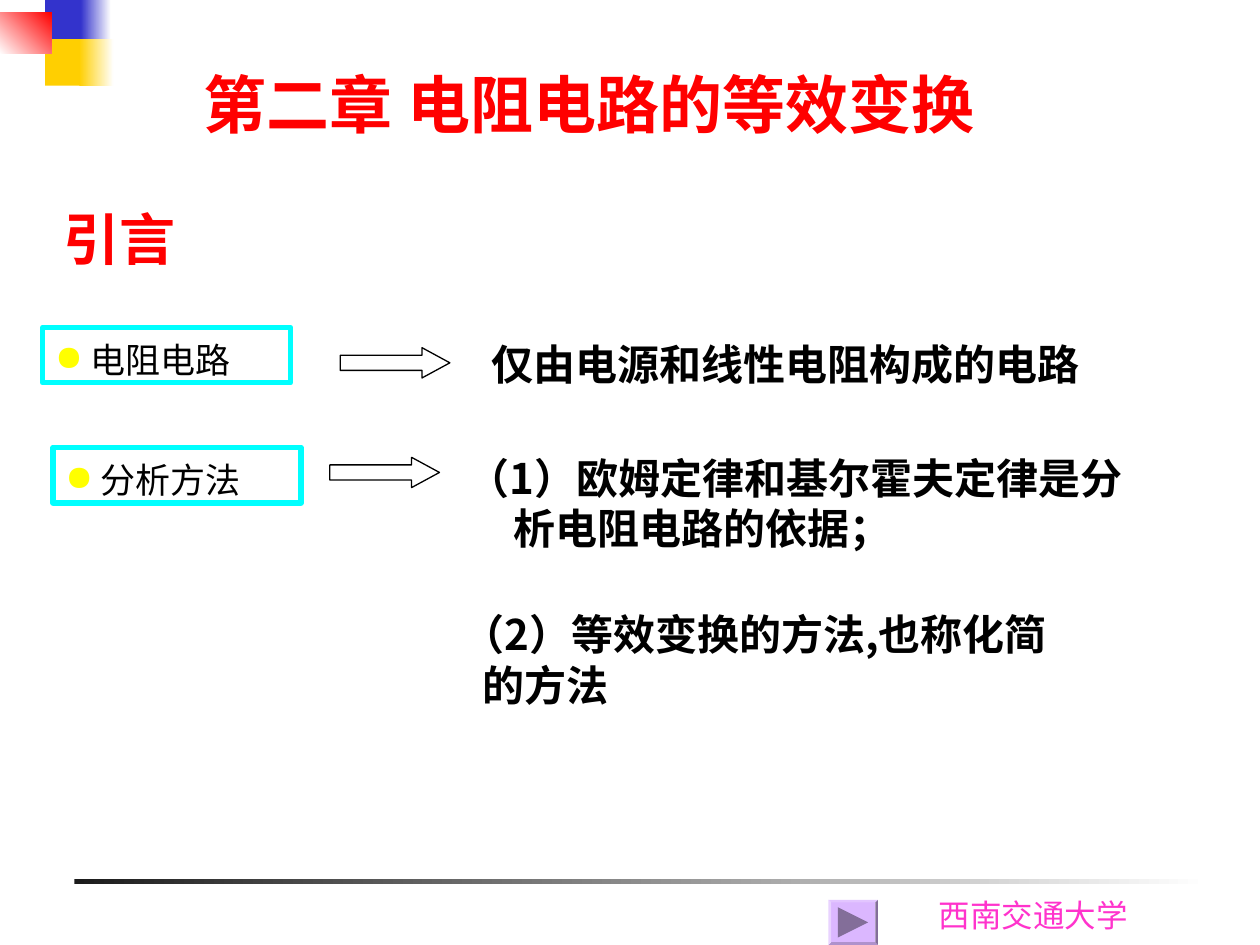
from pptx import Presentation
from pptx.dml.color import RGBColor
from pptx.enum.shapes import MSO_SHAPE
from pptx.enum.text import MSO_ANCHOR, PP_ALIGN
from pptx.oxml import parse_xml
from pptx.oxml.ns import nsdecls
from pptx.util import Cm, Pt

THEME = {
    "white": "FFFFFF", "black": "000000", "dark": "1C1C1C", "red": "FF0000",
    "blue": "3333CC", "gold": "FFCF01", "pink": "FF33CC", "cyan": "00FFFF",
    "yellow": "FFFF00", "lilac": "DBB7FF", "plum": "836E99",
    "han": "Noto Sans CJK SC", "serif": "Times New Roman", "sans": "Cabin",
    "title": 36, "head": 32, "body": 24, "label": 20, "foot": 18,
}


def draw(kind, place, fill=None, line=None, width=0.75, angle=0):
    """Add a preset shape; a pair of colours gives a gradient."""
    shape = slide.shapes.add_shape(kind, *map(Cm, place))
    shape.shadow.inherit = False
    if isinstance(fill, tuple):
        shape.fill.gradient()
        shape.fill.gradient_angle = angle
        for stop, name in zip(shape.fill.gradient_stops, fill):
            stop.color.rgb = RGBColor.from_string(THEME[name])
    elif fill:
        shape.fill.solid()
        shape.fill.fore_color.rgb = RGBColor.from_string(THEME[fill])
    else:
        shape.fill.background()
    if line:
        shape.line.color.rgb = RGBColor.from_string(THEME[line])
        shape.line.width = Pt(width)
    else:
        shape.line.fill.background()
    return shape


def write(shape, lines, size, color, face="han", bold=False, align=PP_ALIGN.JUSTIFY,
          anchor=MSO_ANCHOR.TOP, dot=None):
    """Fill a shape with (text, indent in cm) lines."""
    frame = shape.text_frame
    form = {"word_wrap": True, "vertical_anchor": anchor, "margin_left": Cm(0.25),
            "margin_right": Cm(0.25), "margin_top": Cm(0.23), "margin_bottom": Cm(0.13)}
    for key, value in form.items():
        setattr(frame, key, value)
    for i, (text, indent) in enumerate(lines):
        para = frame.add_paragraph() if i else frame.paragraphs[0]
        run = para.add_run()
        run.text = text
        props = para._p.get_or_add_pPr()
        props.set("marL", str(Cm(indent)))
        if dot:
            props.set("indent", str(-Cm(indent)))
            props.append(parse_xml(f'<a:buClr {nsdecls("a")}><a:srgbClr val="{THEME[dot]}"/></a:buClr>'))
            props.append(parse_xml(f'<a:buChar {nsdecls("a")} char="●"/>'))
        para.alignment = align
        para.line_spacing = Pt(THEME[size] * 1.2)
        font = {"name": THEME[face], "size": Pt(THEME[size]), "bold": bold}
        for key, value in font.items():
            setattr(run.font, key, value)
        run.font.color.rgb = RGBColor.from_string(THEME[color])
        run._r.get_or_add_rPr().append(
            parse_xml(f'<a:ea {nsdecls("a")} typeface="{THEME["han"]}"/>'))


deck = Presentation()
deck.slide_width, deck.slide_height = Cm(25.4), Cm(19.05)
slide = deck.slides.add_slide(deck.slide_layouts[6])
rect = MSO_SHAPE.RECTANGLE

# Footer rule and school name
draw(rect, (1.5, 17.73, 22.86, 0.09), ("dark", "white"))
foot = slide.shapes.add_textbox(Cm(18.67), Cm(17.83), Cm(4.6), Cm(1.02))
write(foot, [("西南交通大学", 0)], "foot", "pink", "sans", align=PP_ALIGN.LEFT)

# Corner blocks
for tint, top, fade in (("blue", 0, (1.63, 0.61)), ("gold", 0.79, (1.6, 0.69))):
    draw(rect, (0.91, top, 0.8, 0.94), tint)
    draw(rect, (fade[0], top, fade[1], 0.94), (tint, "white"))
draw(rect, (0, 0.25, 1.04, 0.84), ("white", "red"), angle=45)

# Title
title = draw(rect, (3.86, 1.02, 17.4, 2.01), "white")
write(title, [("第二章 电阻电路的等效变换", 0)], "title", "red", bold=True,
      align=PP_ALIGN.LEFT, anchor=MSO_ANCHOR.MIDDLE)

# Next button
button = draw(MSO_SHAPE.BEVEL, (16.7, 18.14, 1, 0.91), "lilac")
button.adjustments[0] = 0.06
mark = draw(MSO_SHAPE.ISOSCELES_TRIANGLE, (16.89, 18.29, 0.61, 0.61), "plum")
mark.rotation = 90

# Framed labels with arrows
for text, left, top, tail, mid in (("电阻电路", 0.86, 6.6, 6.86, 7.01),
                                   ("分析方法", 1.07, 9.02, 6.65, 9.22)):
    label = draw(rect, (left, top, 5, 1.12), line="cyan", width=3)
    write(label, [(text, 0.71)], "label", "black", "serif", dot="yellow")
    arrow = draw(MSO_SHAPE.RIGHT_ARROW, (tail, mid, 2.21, 0.61), "white", "black")
    arrow.adjustments[0], arrow.adjustments[1] = 0.5, 0.92

# Heading and body text
for place, size, color, lines in (
    ((1.04, 3.89, 5.61, 1.63), "head", "red", [("引言", 0)]),
    ((9.65, 6.6, 13.2, 1.27), "body", "black", [("仅由电源和线性电阻构成的电路", 0)]),
    ((9.17, 8.89, 14.2, 2.29), "body", "black",
     [("（1）欧姆定律和基尔霍夫定律是分", 0), ("析电阻电路的依据；", 0.94)]),
    ((9.07, 12.04, 13.26, 3.3), "body", "black",
     [("（2）等效变换的方法,也称化简", 0), ("的方法", 0.41)]),
):
    box = slide.shapes.add_textbox(*map(Cm, place))
    write(box, lines, size, color, bold=True)

deck.save("out.pptx")
